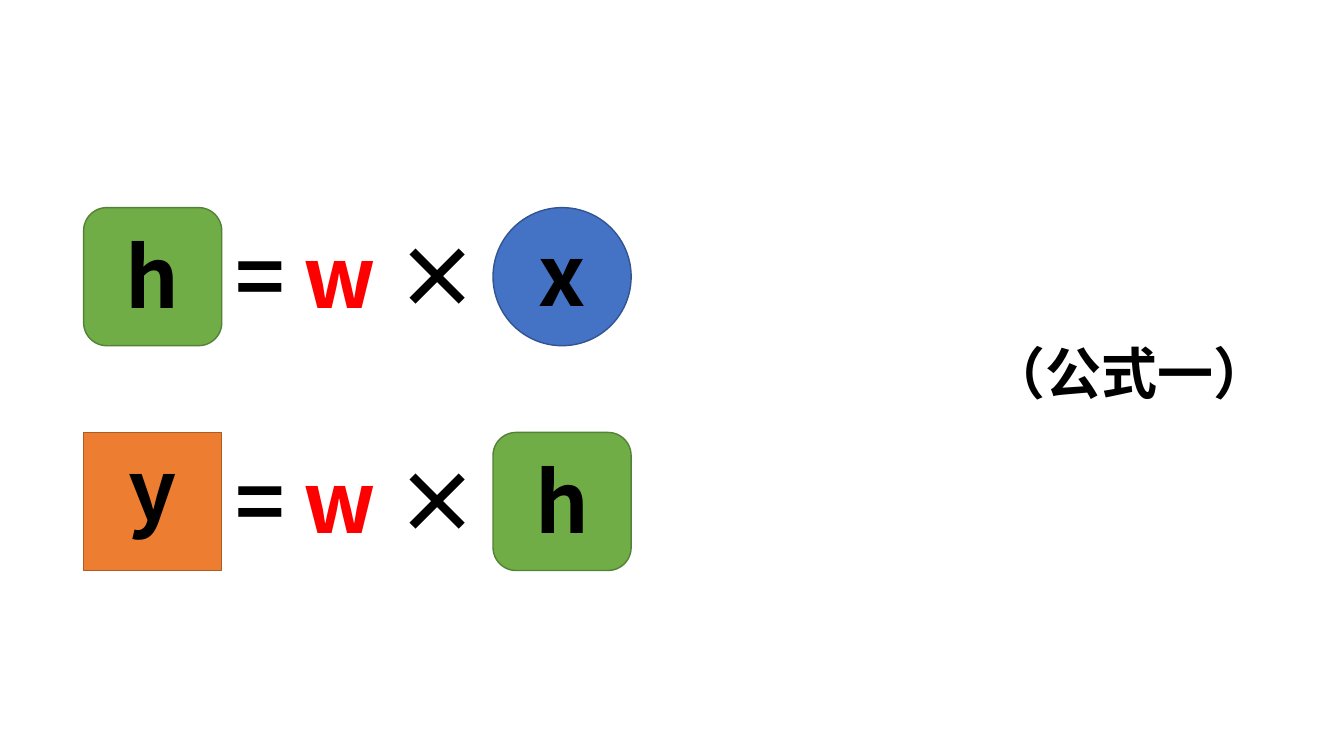
from pptx import Presentation, util as u
from pptx.dml.color import RGBColor
from pptx.enum import shapes, text
from pptx.oxml.ns import qn

FONT = "Noto Sans CJK SC"
BLACK = RGBColor(0x00, 0x00, 0x00)
RED = RGBColor(0xFF, 0x00, 0x00)
SHAPE = shapes.MSO_SHAPE

# Node styles: preset, fill, outline
HIDDEN = (SHAPE.ROUNDED_RECTANGLE, RGBColor(0x70, 0xAD, 0x47), RGBColor(0x53, 0x81, 0x35))
INPUT = (SHAPE.OVAL, RGBColor(0x44, 0x72, 0xC4), RGBColor(0x32, 0x54, 0x91))
OUTPUT = (SHAPE.RECTANGLE, RGBColor(0xED, 0x7D, 0x31), RGBColor(0xAF, 0x5C, 0x24))

# Content: each formula is result = w × factor; a node is letter, style, letter offset
FORMULAS = [
    (("h", HIDDEN, 0.12), ("x", INPUT, 0.1)),
    (("y", OUTPUT, 0), ("h", HIDDEN, 0.12)),
]
OPERATORS = [("= ", BLACK), ("w", RED), (" ×", BLACK)]
LABEL = [("(公式一)".replace("(", "（").replace(")", "）"), BLACK)]

# Grid in inches
NODE = 1.37
COLUMNS = (0.83, 4.89)
FIRST_ROW, ROW_STEP = 2.06, 2.23
TEXT_HEIGHT = 1.11

presentation = Presentation()
presentation.slide_width, presentation.slide_height = u.Inches(13.33), u.Inches(7.5)
slide = presentation.slides.add_slide(presentation.slide_layouts[6])


def add_text(runs, left, top, width, height, size=60):
    box = slide.shapes.add_textbox(*map(u.Inches, (left, top, width, height)))
    frame = box.text_frame
    frame.word_wrap = True
    frame.auto_size = text.MSO_AUTO_SIZE.SHAPE_TO_FIT_TEXT
    paragraph = frame.paragraphs[0]
    paragraph.alignment = text.PP_ALIGN.CENTER
    for words, color in runs:
        run = paragraph.add_run()
        run.text = words
        for name, value in {"name": FONT, "size": u.Pt(size), "bold": True}.items():
            setattr(run.font, name, value)
        run.font.color.rgb = color
        # East Asian characters take their own typeface
        east_asian = run.font._element.makeelement(qn("a:ea"), {"typeface": FONT})
        run.font._element.append(east_asian)


def add_node(letter, style, offset, left, top):
    preset, fill, outline = style
    shape = slide.shapes.add_shape(preset, *map(u.Inches, (left, top, NODE, NODE)))
    shape.shadow.inherit = False
    shape.fill.solid()
    shape.fill.fore_color.rgb = fill
    shape.line.color.rgb = outline
    shape.line.width = u.Pt(1)
    add_text([(letter, BLACK)], left, top + offset, NODE, TEXT_HEIGHT)


# Formulas, one per row
for row, nodes in enumerate(FORMULAS):
    top = FIRST_ROW + row * ROW_STEP
    for node, left in zip(nodes, COLUMNS):
        add_node(*node, left, top)
    operators_left = COLUMNS[0] + NODE
    add_text(OPERATORS, operators_left, top + 0.12, COLUMNS[1] - operators_left, TEXT_HEIGHT)

# Formula label
add_text(LABEL, 9.42, 3.31, 3.57, 0.77, size=40)

presentation.save("out.pptx")
